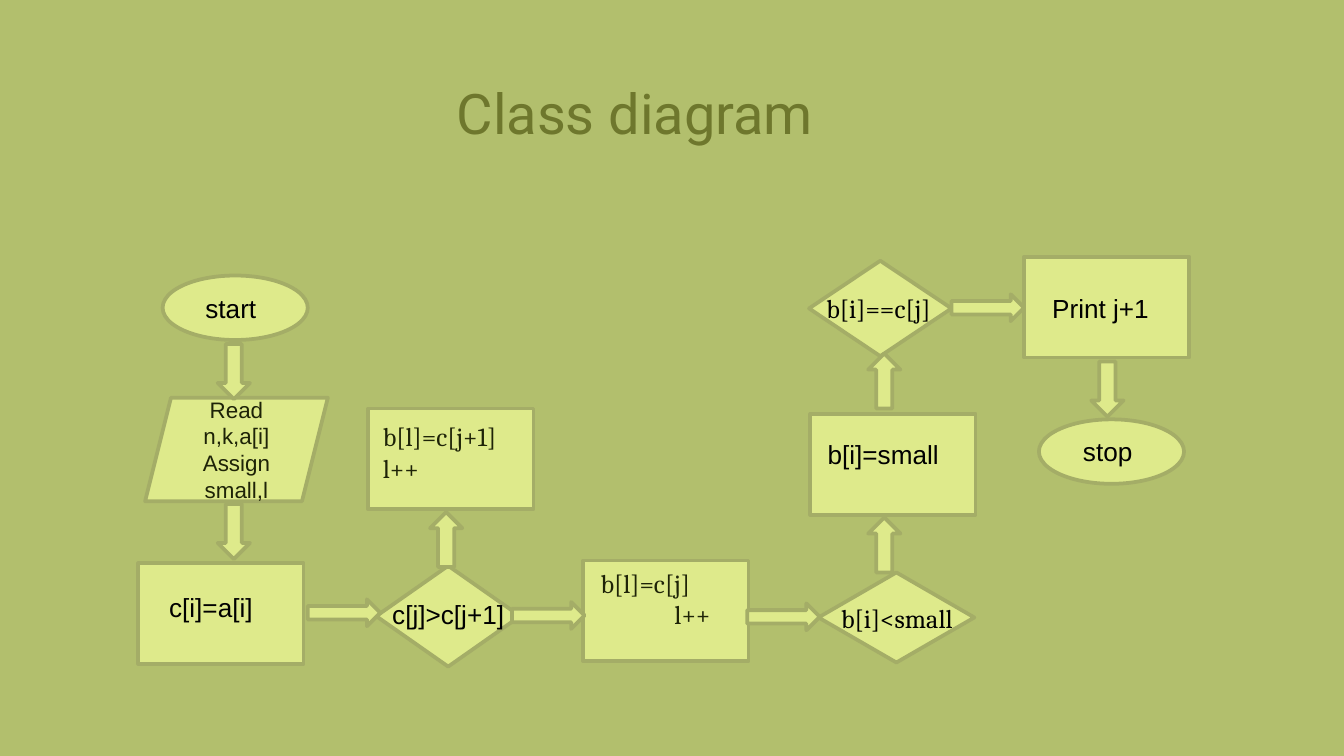
from pptx import Presentation
from pptx.dml.color import RGBColor
from pptx.enum.shapes import MSO_SHAPE as SHAPE
from pptx.enum.text import MSO_ANCHOR as ANCHOR, PP_ALIGN as ALIGN
from pptx.util import Pt

PX = 9144
COLORS = {"page": "B2BF6D", "title": "6E772D", "fill": "DEEA8B",
          "line": "A4AD67", "ink": "1E2307", "black": "000000"}

TITLE = ("Class diagram", 42, 36, 861, 95)
READ_TEXT = "Read n,k,a[i]\nAssign small,l"
READ_BOX = (108, 296, 136, 77)

RECT_SIZE, OVAL_SIZE = (123, 75), (108, 48)
STEPS = [(103, 419), (274, 304), (434, 417), (603, 308), (762, 191)]
TERMINALS = [(121, 205), (773, 312)]
DECISIONS = [(280, 421, 107, 75), (609, 426, 116, 67), (602, 194, 106, 71)]

ARROWS = [
    (SHAPE.DOWN_ARROW, (24, 41), [(162, 256), (162, 375), (812, 269)]),
    (SHAPE.UP_ARROW, (24, 41), [(320, 381), (646, 385), (646, 263)]),
    (SHAPE.RIGHT_ARROW, (54, 20), [(229, 446), (381, 448), (556, 449), (708, 219)]),
]

LABELS = [
    ("start", 143, 213, 79, 34, "Arial", "black"),
    ("c[i]=a[i]", 108, 435, 98, 34, "Arial", "black"),
    ("c[j]>c[j+1]", 282, 440, 106, 34, "Arial", "black"),
    ("b[l]=c[j+1]\nl++", 275, 308, 123, 57, "Cambria", "ink"),
    ("b[l]=c[j] l++", 437, 417, 106, 57, "Cambria", "ink"),
    ("b[i]<small", 616, 443, 107, 34, "Cambria", "black"),
    ("b[i]=small", 606, 321, 114, 34, "Arial", "black"),
    ("b[i]==c[j]", 605, 213, 98, 34, "Cambria", "black"),
    ("Print j+1", 773, 213, 98, 34, "Arial", "black"),
    ("stop", 796, 319, 66, 34, "Arial", "black"),
]
CENTERED = {"c[i]=a[i]"}
HANGING = {"b[l]=c[j] l++": 55}


def rgb(name):
    return RGBColor.from_string(COLORS[name])


def emu(*lengths):
    return [n * PX for n in lengths]


def write(tf, text, size, font, color, align):
    tf.word_wrap = True
    tf.text = text
    for p in tf.paragraphs:
        p.alignment = align
        for r in p.runs:
            r.font.size = Pt(size)
            r.font.name = font
            r.font.color.rgb = rgb(color)


def add_block(s, kind, x, y, w, h):
    sp = s.shapes.add_shape(kind, *emu(x, y, w, h))
    sp.shadow.inherit = False
    sp.fill.solid()
    sp.fill.fore_color.rgb = rgb("fill")
    sp.line.color.rgb = rgb("line")
    sp.line.width = Pt(2)
    return sp


def add_label(s, text, x, y, w, h, font, color):
    tf = s.shapes.add_textbox(*emu(x, y, w, h)).text_frame
    align = ALIGN.CENTER if text in CENTERED else ALIGN.LEFT
    write(tf, text, 14, font, color, align)
    if text in HANGING:
        pPr = tf.paragraphs[0]._p.get_or_add_pPr()
        pPr.set("marL", str(HANGING[text] * PX))
        pPr.set("indent", str(-HANGING[text] * PX))


def main():
    prs = Presentation()
    prs.slide_width = 1000 * PX
    prs.slide_height = prs.slide_width * 9 // 16
    s = prs.slides.add_slide(prs.slide_layouts[6])
    s.background.fill.solid()
    s.background.fill.fore_color.rgb = rgb("page")

    title, *box = TITLE
    tf = s.shapes.add_textbox(*emu(*box)).text_frame
    tf.vertical_anchor = ANCHOR.MIDDLE
    write(tf, title, 30, "Roboto", "title", ALIGN.CENTER)

    tf = add_block(s, SHAPE.PARALLELOGRAM, *READ_BOX).text_frame
    tf.vertical_anchor = ANCHOR.MIDDLE
    write(tf, READ_TEXT, 12, "Arial", "ink", ALIGN.CENTER)

    for box in DECISIONS:
        add_block(s, SHAPE.DIAMOND, *box)
    groups = [(SHAPE.RECTANGLE, RECT_SIZE, STEPS),
              (SHAPE.OVAL, OVAL_SIZE, TERMINALS), *ARROWS]
    for kind, size, places in groups:
        for place in places:
            add_block(s, kind, *place, *size)
    for label in LABELS:
        add_label(s, *label)

    prs.save("out.pptx")


if __name__ == "__main__":
    main()
